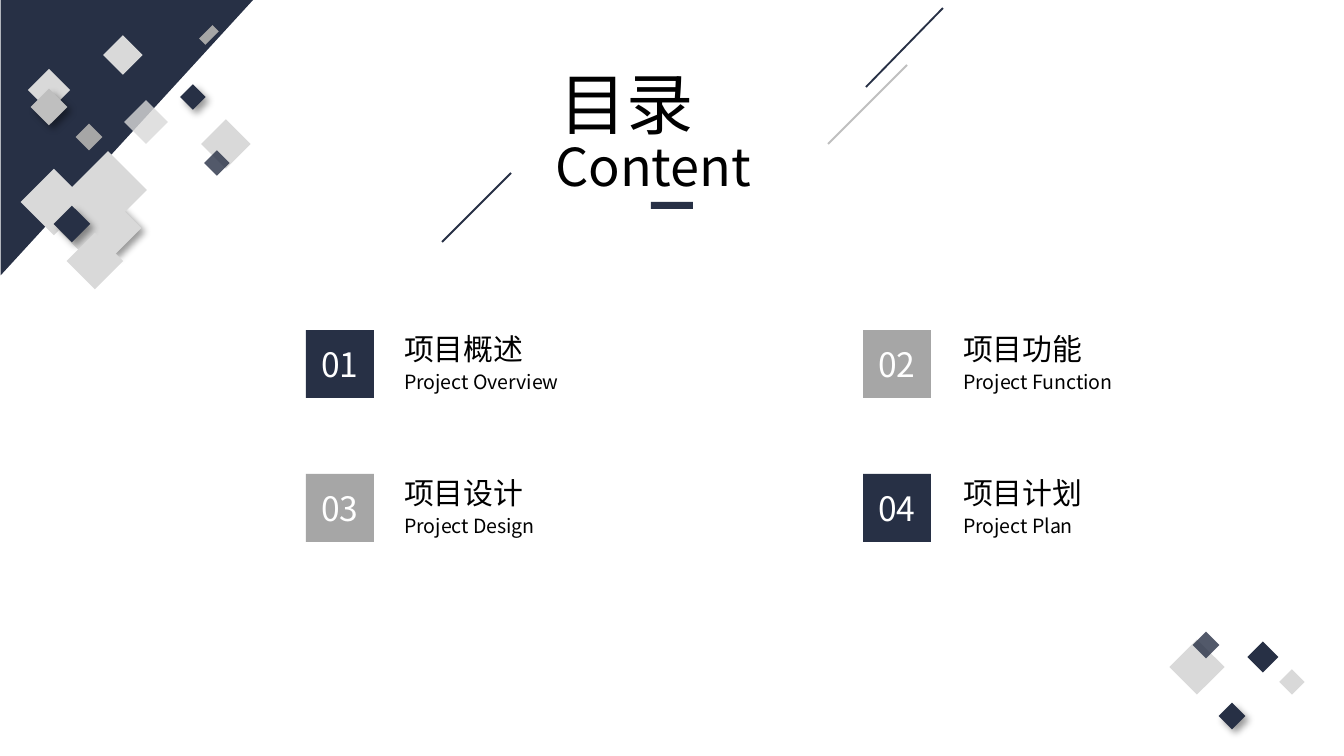
"""Build the contents slide: a title, four numbered entries and diamond ornaments."""
from lxml.etree import SubElement
from pptx import Presentation
from pptx.dml.color import RGBColor
from pptx.enum.shapes import MSO_CONNECTOR, MSO_SHAPE as SHAPE
from pptx.enum.text import MSO_ANCHOR as ANCHOR, MSO_AUTO_SIZE as AUTO, PP_ALIGN as ALIGN
from pptx.oxml.ns import qn
from pptx.util import Emu, Pt

NAVY = RGBColor(0x27, 0x30, 0x45)
DARK = RGBColor(0xA6, 0xA6, 0xA6)
GREY = RGBColor(0xBF, 0xBF, 0xBF)
PALE = RGBColor(0xD9, 0xD9, 0xD9)
BLACK = RGBColor(0, 0, 0)
WHITE = RGBColor(0xFF, 0xFF, 0xFF)
FONT = "Noto Sans CJK SC"
SCALE = 914400 / 134.4

TITLE = ("目录", (546, 56, 253, 95))
SUBTITLE = ("Content", (542, 128, 259, 77))
ENTRIES = [
    ("项目概述", "Project Overview", 185, NAVY),
    ("项目功能", "Project Function", 179, DARK),
    ("项目设计", "Project Design", 163, DARK),
    ("项目计划", "Project Plan", 138, NAVY),
]
COLUMNS = [(306, 391), (863, 950)]
TOP, ROW_STEP, TILE = 330, 144, 68
LINES = [
    (866, 87, 943, 8, NAVY),
    (828, 144, 907, 65, GREY),
    (442, 242, 511, 173, NAVY),
]
DIAMONDS = [
    (1263, 657, 22, 22, NAVY, ""),
    (1292, 682, 18, 18, PALE, ""),
    (1197, 667, 39, 39, PALE, ""),
    (1232, 716, 19, 19, NAVY, "shadow"),
    (1206, 645, 19, 19, NAVY, "sheer"),
    (123, 55, 28, 28, PALE, ""),
    (89, 137, 19, 19, DARK, ""),
    (49, 90, 30, 30, PALE, ""),
    (49, 107, 26, 26, GREY, "shadow"),
    (209, 35, 19, 9, DARK, ""),
    (54, 202, 47, 47, PALE, ""),
    (114, 228, 39, 39, PALE, "shadow"),
    (93, 211, 24, 24, PALE, ""),
    (83, 224, 43, 43, PALE, ""),
    (226, 144, 35, 35, PALE, ""),
    (193, 97, 18, 18, NAVY, "shadow"),
    (72, 224, 26, 26, NAVY, "shadow"),
    (217, 163, 18, 18, NAVY, "sheer"),
    (146, 122, 31, 31, PALE, "sheer"),
    (108, 190, 55, 55, PALE, ""),
    (95, 261, 40, 40, PALE, ""),
]


def px(*values):
    return [Emu(round(v * SCALE)) for v in values]


def write(sp, text, size, color=BLACK, align=ALIGN.LEFT, **frame):
    tf = sp.text_frame
    for name, value in frame.items():
        setattr(tf, name, value)
    p = tf.paragraphs[0]
    p.alignment = align
    r = p.add_run()
    r.text = text
    for name, value in {"size": Pt(size), "name": FONT}.items():
        setattr(r.font, name, value)
    r.font.color.rgb = color
    SubElement(r.font._element, qn("a:ea"), typeface=FONT)


def add_label(slide, box, text, size, **style):
    write(slide.shapes.add_textbox(*px(*box)), text, size, **style)


def add_block(slide, box, color, kind=SHAPE.RECTANGLE, rotation=0):
    sp = slide.shapes.add_shape(kind, *px(*box))
    sp.rotation = rotation
    sp.shadow.inherit = False
    sp.fill.solid()
    sp.fill.fore_color.rgb = color
    sp.line.fill.background()
    return sp


def add_line(slide, x1, y1, x2, y2, color):
    line = slide.shapes.add_connector(MSO_CONNECTOR.STRAIGHT, *px(x1, y1, x2, y2))
    line.line.width = Pt(1)
    line.line.color.rgb = color
    SubElement(line._element.spPr, qn("a:effectLst"))


def add_diamond(slide, cx, cy, w, h, color, effect):
    sp = add_block(slide, (cx - w / 2, cy - h / 2, w, h), color, rotation=315)
    spPr = sp._element.spPr
    if effect == "sheer":
        SubElement(spPr.find(".//" + qn("a:srgbClr")), qn("a:alpha"), val="80000")
    elif effect == "shadow":
        shadow = SubElement(spPr.find(qn("a:effectLst")), qn("a:outerShdw"),
                            blurRad=str(Pt(4)), dist=str(Pt(3)), dir="2700000",
                            algn="tl", rotWithShape="0")
        tint = SubElement(shadow, qn("a:srgbClr"), val="000000")
        SubElement(tint, qn("a:alpha"), val="40000")


def add_entry(slide, i, name, english, width, color):
    x, text_x = COLUMNS[i % 2]
    y = TOP + i // 2 * ROW_STEP
    tile = add_block(slide, (x, y, TILE, TILE), color)
    write(tile, f"{i + 1:02}", 18, WHITE, ALIGN.CENTER, vertical_anchor=ANCHOR.MIDDLE)
    fit = {"word_wrap": False, "auto_size": AUTO.SHAPE_TO_FIT_TEXT}
    add_label(slide, (text_x, y - 6, 146, 50), name, 16, **fit)
    add_label(slide, (text_x, y + 33, width, 38), english, 10.5, **fit)


def main():
    prs = Presentation()
    prs.slide_width, prs.slide_height = px(1344, 756)
    slide = prs.slides.add_slide(prs.slide_layouts[5])

    for line in LINES:
        add_line(slide, *line)
    corner = add_block(slide, (-11, 11, 276, 253), NAVY, SHAPE.ISOSCELES_TRIANGLE, 90)
    corner.adjustments[0] = 0
    for diamond in DIAMONDS:
        add_diamond(slide, *diamond)

    heading = {"align": ALIGN.JUSTIFY, "word_wrap": True,
               "auto_size": AUTO.SHAPE_TO_FIT_TEXT, "vertical_anchor": ANCHOR.TOP}
    text, box = TITLE
    title = slide.shapes.title
    for name, value in zip(("left", "top", "width", "height"), px(*box)):
        setattr(title, name, value)
    write(title, text, 36, **heading)
    text, box = SUBTITLE
    add_label(slide, box, text, 28, **heading)
    add_block(slide, (651, 202, 42, 7), NAVY)

    for i, entry in enumerate(ENTRIES):
        add_entry(slide, i, *entry)
    prs.save("out.pptx")


if __name__ == "__main__":
    main()
